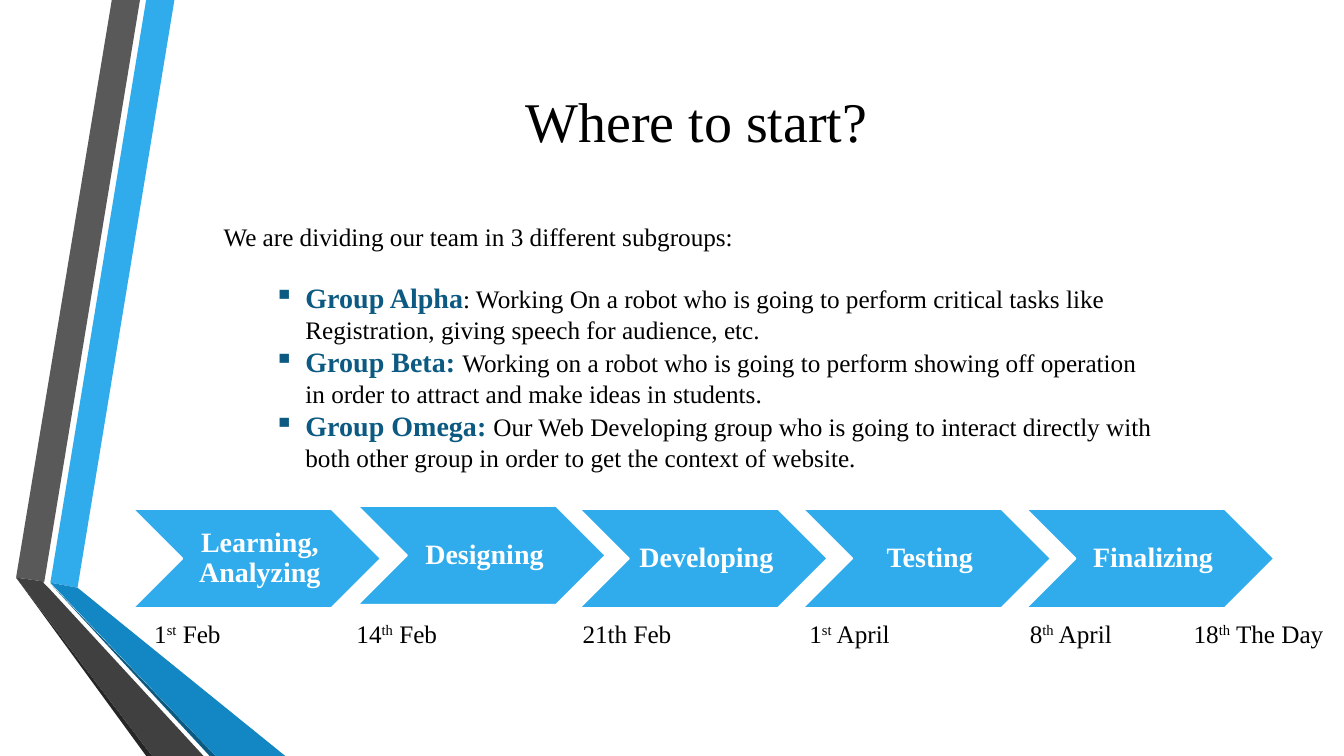
import pptx
import pptx.util
import pptx.dml.color
import pptx.enum.shapes
import pptx.enum.text
import pptx.oxml

Pt = pptx.util.Pt
ALIGN = pptx.enum.text.PP_ALIGN
ANCHOR = pptx.enum.text.MSO_ANCHOR

# Content
FONT = "Times New Roman"
COLORS = {
    "blue": "30ACEC", "mid_blue": "1287C3", "deep_blue": "0C5A82",
    "grey": "595959", "dark_grey": "404040", "near_black": "262626",
    "black": "000000", "white": "FFFFFF",
}
TITLE = "Where to start?"
INTRO = "We are dividing our team in 3 different subgroups:"
GROUPS = [
    ("Group Alpha", ": Working On a robot who is going to perform critical "
     "tasks like Registration, giving speech for audience, etc."),
    ("Group Beta: ", "Working on a robot who is going to perform showing off "
     "operation in order to attract and make ideas in students."),
    ("Group Omega: ", "Our Web Developing group who is going to interact "
     "directly with both other group in order to get the context of website."),
]
STAGES = ["Learning, Analyzing", "Designing", "Developing", "Testing", "Finalizing"]
RAISED_STAGE = "Designing"
# Day, raised suffix, rest, tab stop
DATES = [
    ("1", "st", " Feb", 0),
    ("14", "th", " Feb", 144.5),
    ("21th Feb", "", "", 306),
    ("1", "st", " April", 468),
    ("8", "th", " April", 625.5),
    ("18", "th", " The Day", 742.5),
]
RIBBONS = [
    ("blue", [(36, 416.2), (55.4, 419.8), (124.6, 0), (104.4, 0)]),
    ("grey", [(100, 0), (79.9, 0), (11.5, 412.6), (31.7, 415.4)]),
    ("near_black", [(11.5, 412.6), (104.4, 540), (108.7, 540)]),
    ("deep_blue", [(36, 416.9), (149.8, 540), (154.1, 540)]),
    ("mid_blue", [(36, 416.2), (154.1, 540), (203.8, 540), (55.4, 419.8)]),
    ("dark_grey", [(145.4, 540), (34.6, 419.8), (31, 416.2), (31.7, 415.4),
                   (11.5, 412.6), (108.7, 540)]),
]
CHEVRON_LEFT, CHEVRON_TOP, CHEVRON_PITCH = 95, 363.6, 159.5
CHEVRON_WIDTH, CHEVRON_HEIGHT = 177.1, 70.6
RAISED_SHIFT = (1, -2.2)


def rgb(name):
    return pptx.dml.color.RGBColor.from_string(COLORS[name])


def add_run(p, text, size, color="black", bold=False, raised=False):
    r = p.add_run()
    r.text = text
    r.font.name, r.font.size, r.font.bold = FONT, Pt(size), bold
    r.font.color.rgb = rgb(color)
    if raised:
        r._r.get_or_add_rPr().set("baseline", "30000")


def add_ppr_child(p, xml):
    ns = 'xmlns:a="http://schemas.openxmlformats.org/drawingml/2006/main"'
    p._p.get_or_add_pPr().append(pptx.oxml.parse_xml(xml.replace(" ", f" {ns} ", 1)))


def add_text_box(left, top, width, height):
    tf = s.shapes.add_textbox(Pt(left), Pt(top), Pt(width), Pt(height)).text_frame
    tf.word_wrap = True
    return tf


prs = pptx.Presentation()
prs.slide_width, prs.slide_height = Pt(960), Pt(540)
s = prs.slides.add_slide(prs.slide_layouts[5])

# Folded ribbons on the left
for color, points in RIBBONS:
    corners = [(Pt(x), Pt(y)) for x, y in points]
    builder = s.shapes.build_freeform(*corners[0])
    builder.add_line_segments(corners[1:], close=True)
    sp = builder.convert_to_shape()
    sp.shadow.inherit = False
    sp.fill.solid()
    sp.fill.fore_color.rgb = rgb(color)
    sp.line.fill.background()

# Title
title = s.shapes.title
title.left, title.top, title.width, title.height = Pt(103), Pt(16.6), Pt(789), Pt(138.2)
tf = title.text_frame
tf.vertical_anchor = ANCHOR.MIDDLE
p = tf.paragraphs[0]
p.alignment = ALIGN.CENTER
add_run(p, TITLE, 40)

# Stage chevrons
for i, stage in enumerate(STAGES):
    dx, dy = RAISED_SHIFT if stage == RAISED_STAGE else (0, 0)
    sp = s.shapes.add_shape(
        pptx.enum.shapes.MSO_SHAPE.CHEVRON,
        Pt(CHEVRON_LEFT + i * CHEVRON_PITCH + dx), Pt(CHEVRON_TOP + dy),
        Pt(CHEVRON_WIDTH), Pt(CHEVRON_HEIGHT))
    sp.shadow.inherit = False
    sp.fill.solid()
    sp.fill.fore_color.rgb = rgb("blue")
    sp.line.color.rgb = rgb("white")
    sp.line.width = Pt(1.25)
    tf = sp.text_frame
    tf.word_wrap = True
    tf.vertical_anchor = ANCHOR.MIDDLE
    tf.margin_left = Pt(6.3)
    tf.margin_right = tf.margin_top = tf.margin_bottom = Pt(2.1)
    p = tf.paragraphs[0]
    p.alignment = ALIGN.CENTER
    p.line_spacing = 0.9
    add_run(p, stage, 20, "white", bold=True)

# Dates on tab stops
p = add_text_box(103, 437.8, 857, 29).paragraphs[0]
stops = "".join(f'<a:tab pos="{Pt(stop)}" algn="l"/>' for *_, stop in DATES[1:])
add_ppr_child(p, f'<a:tabLst >{stops}</a:tabLst>')
for day, suffix, rest, stop in DATES:
    add_run(p, "\t" + day if stop else day, 18)
    if suffix:
        add_run(p, suffix, 18, raised=True)
        add_run(p, rest, 18)

# Intro and subgroups
tf = add_text_box(152.6, 154.8, 678, 189.4)
add_run(tf.paragraphs[0], INTRO, 18)
for i, (name, task) in enumerate(GROUPS):
    p = tf.add_paragraph()
    p.level = 1
    if i == 0:
        p.space_before = Pt(20.7)
    ppr = p._p.get_or_add_pPr()
    ppr.set("marL", str(Pt(58.5)))
    ppr.set("indent", str(Pt(-22.5)))
    add_ppr_child(p, '<a:buChar char="▪"/>')
    add_run(p, name, 20, "deep_blue", bold=True)
    add_run(p, task, 18)

prs.save("out.pptx")
